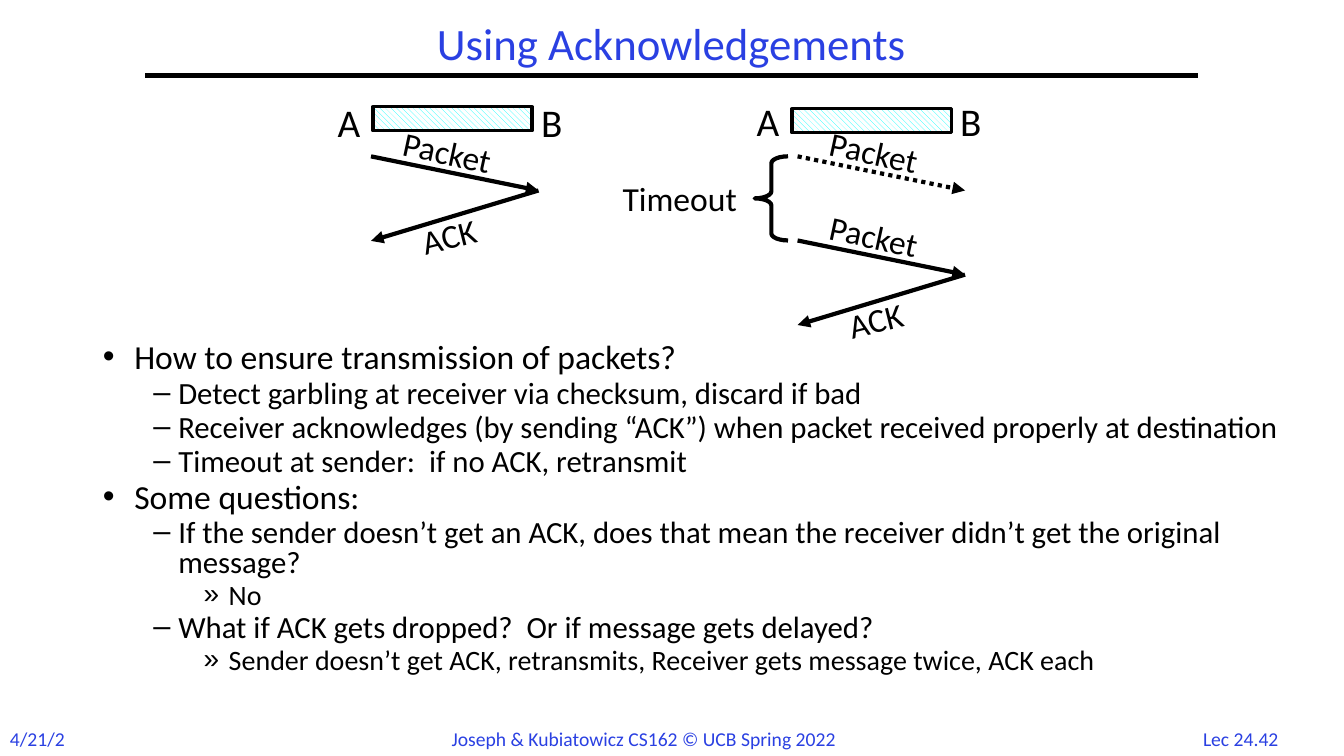
import pptx
import pptx.dml.color
import pptx.enum.dml
import pptx.enum.shapes
import pptx.enum.text
import pptx.oxml.ns
import pptx.util
import lxml.etree

Cm = pptx.util.Cm
Pt = pptx.util.Pt
Align = pptx.enum.text.PP_ALIGN
Kind = pptx.enum.shapes.MSO_SHAPE


def color(code):
    return pptx.dml.color.RGBColor.from_string(code)


def child(node, tag, **attrs):
    return lxml.etree.SubElement(node, pptx.oxml.ns.qn(tag), **attrs)


class Deck:
    face = "Calibri"
    ink = "000000"
    blue = "2A40E2"
    cyan = "00FFFF"
    white = "FFFFFF"
    levels = [("•", 24, 0.79, 0.79), ("–", 22, 1.9, 0.63), ("»", 20, 3.17, 0.63)]

    def __init__(self):
        self.file = pptx.Presentation()
        self.file.slide_width = Cm(33.87)
        self.file.slide_height = Cm(19.05)
        self.slide = self.file.slides.add_slide(self.file.slide_layouts[1])
        self.shapes = self.slide.shapes

    def place(self, shape, x, y, w, h):
        shape.left, shape.top = Cm(x), Cm(y)
        shape.width, shape.height = Cm(w), Cm(h)

    def run(self, para, text, size, code):
        run = para.add_run()
        run.text = text
        run.font.name = self.face
        run.font.size = Pt(size)
        run.font.color.rgb = color(code)

    def title(self, text, x, y, w, h):
        shape = self.shapes.title
        self.place(shape, x, y, w, h)
        frame = shape.text_frame
        frame.auto_size = pptx.enum.text.MSO_AUTO_SIZE.NONE
        frame.vertical_anchor = pptx.enum.text.MSO_ANCHOR.MIDDLE
        para = frame.paragraphs[0]
        para.alignment = Align.CENTER
        para.line_spacing = 0.9
        self.run(para, text, 32, self.blue)

    def list(self, items, x, y, w, h):
        shape = self.slide.placeholders[1]
        self.place(shape, x, y, w, h)
        frame = shape.text_frame
        frame.auto_size = pptx.enum.text.MSO_AUTO_SIZE.NONE
        for index, (level, text) in enumerate(items):
            para = frame.add_paragraph() if index else frame.paragraphs[0]
            mark, size, left, hang = self.levels[level]
            para.level = level
            para.line_spacing = 0.8
            para.space_before = Pt(size * 0.15 if index else 0)
            props = para._p.get_or_add_pPr()
            props.set("marL", str(Cm(left)))
            props.set("indent", str(-Cm(hang)))
            child(props, "a:buChar", char=mark)
            self.run(para, text, size, self.ink)

    def text(self, text, x, y, w, h, size=24, code=ink, turn=0, align=Align.LEFT):
        box = self.shapes.add_textbox(Cm(x), Cm(y), Cm(w), Cm(h))
        box.rotation = turn
        frame = box.text_frame
        frame.word_wrap = False
        frame.auto_size = pptx.enum.text.MSO_AUTO_SIZE.SHAPE_TO_FIT_TEXT
        para = frame.paragraphs[0]
        para.alignment = align
        self.run(para, text, size, code)

    def line(self, x1, y1, x2, y2, arrow=True, dotted=False):
        line = self.shapes.add_connector(
            pptx.enum.shapes.MSO_CONNECTOR.STRAIGHT, Cm(x1), Cm(y1), Cm(x2), Cm(y2))
        line.line.color.rgb = color(self.ink)
        line.line.width = Pt(3)
        if dotted:
            line.line.dash_style = pptx.enum.dml.MSO_LINE.ROUND_DOT
        if arrow:
            child(line.line._get_or_add_ln(), "a:tailEnd", type="triangle")
        child(line._element.spPr, "a:effectLst")

    def shape(self, kind, x, y, w, h, width):
        shape = self.shapes.add_shape(kind, Cm(x), Cm(y), Cm(w), Cm(h))
        shape.shadow.inherit = False
        shape.line.color.rgb = color(self.ink)
        shape.line.width = Pt(width)
        return shape

    def brace(self, x, y, w, h):
        shape = self.shape(Kind.LEFT_BRACE, x, y, w, h, 3)
        shape.fill.background()
        shape.adjustments[0] = 0.21

    def link(self, x, y, top):
        fill = self.shape(Kind.RECTANGLE, x, top, 4.01, 0.61, 2.25).fill
        fill.patterned()
        fill.pattern = pptx.enum.dml.MSO_PATTERN.WIDE_DOWNWARD_DIAGONAL
        fill.fore_color.rgb = color(self.cyan)
        fill.back_color.rgb = color(self.white)
        for name, left in (("A", x - 1.14), ("B", x + 3.99)):
            self.text(name, left, y, 1.17, 1.45, 28)

    def packet(self, x, y, dotted=False):
        self.line(x, y, x + 4.22, y + 0.86, dotted=dotted)
        self.text("Packet", x + 0.55, y - 0.71, 3.12, 1.27, turn=12.3)

    def reply(self, x, y):
        self.line(x + 4.22, y + 0.86, x, y + 2.13)
        self.text("ACK", x + 1.02, y + 1.32, 2.26, 1.27, turn=345.8)


def main():
    deck = Deck()
    deck.text("Lec 24.42", 29.9, 18.19, 2.74, 0.85, 14, deck.blue, align=Align.CENTER)
    deck.text("4/21/22", 0, 18.19, 2.03, 0.85, 14, deck.blue)
    deck.text("Joseph & Kubiatowicz CS162 © UCB Spring 2022",
              11.13, 18.19, 10.49, 0.85, 14, deck.blue)
    deck.line(3.66, 1.9, 30.2, 1.9, arrow=False)
    deck.title("Using Acknowledgements", 3.66, 0.43, 26.52, 1.47)
    deck.list([
        (0, "How to ensure transmission of packets?"),
        (1, "Detect garbling at receiver via checksum, discard if bad"),
        (1, "Receiver acknowledges (by sending “ACK”) when packet received properly at destination"),
        (1, "Timeout at sender:  if no ACK, retransmit"),
        (0, "Some questions:"),
        (1, "If the sender doesn’t get an ACK, does that mean the receiver didn’t get the original message?"),
        (2, "No"),
        (1, "What if ACK gets dropped?  Or if message gets delayed?"),
        (2, "Sender doesn’t get ACK, retransmits, Receiver gets message twice, ACK each"),
    ], 2.34, 8.53, 30.28, 10.64)

    deck.link(9.4, 2.36, 2.69)
    deck.packet(9.35, 3.94)
    deck.reply(9.35, 3.94)

    deck.link(19.96, 2.34, 2.74)
    deck.packet(20.1, 3.94, dotted=True)
    deck.packet(20.1, 6.06)
    deck.reply(20.1, 6.06)
    deck.brace(19.02, 3.94, 0.84, 2.12)
    deck.text("Timeout", 15.44, 4.37, 3.56, 1.27)

    deck.file.save("out.pptx")


if __name__ == "__main__":
    main()
